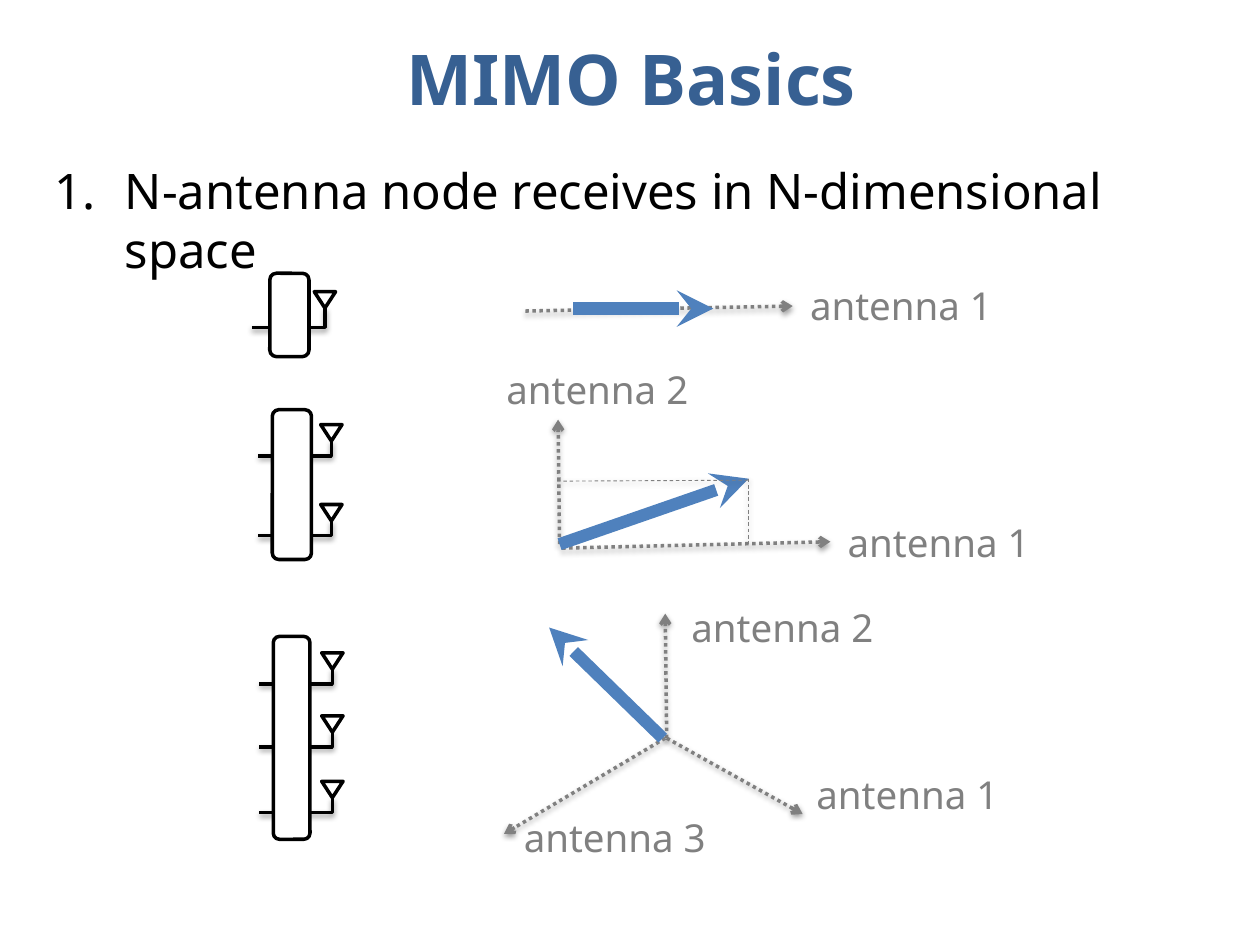
from lxml import etree
from pptx import Presentation
from pptx.dml.color import RGBColor
from pptx.enum.dml import MSO_LINE
from pptx.enum.shapes import MSO_CONNECTOR, MSO_SHAPE
from pptx.enum.text import MSO_ANCHOR, MSO_AUTO_SIZE, PP_ALIGN
from pptx.oxml import parse_xml
from pptx.oxml.ns import nsdecls, qn
from pptx.util import Cm, Pt

STRAIGHT, ELBOW = MSO_CONNECTOR.STRAIGHT, MSO_CONNECTOR.ELBOW
BOX, CONE = MSO_SHAPE.ROUNDED_RECTANGLE, MSO_SHAPE.ISOSCELES_TRIANGLE
DOT, DASH = MSO_LINE.ROUND_DOT, MSO_LINE.DASH
MIDDLE, CENTER = MSO_ANCHOR.MIDDLE, PP_ALIGN.CENTER
GROW = MSO_AUTO_SIZE.SHAPE_TO_FIT_TEXT

FONT = "Noto Sans"
BLACK = RGBColor(0, 0, 0)
WHITE = RGBColor(0xFF, 0xFF, 0xFF)
NAVY = RGBColor(0x37, 0x60, 0x92)
BLUE = RGBColor(0x4F, 0x81, 0xBD)
GRAY = RGBColor(0x80, 0x80, 0x80)

TITLE = "MIMO Basics"
POINT = "N-antenna node receives in N-dimensional space"

# All lengths below are in centimetres.
WIRE, CONE_W, CONE_H = 1.47, 0.43, 0.33
LABEL_W, LABEL_H = 5.13, 1.19

NODES = [
    {"box": (5.44, 5.51, 0.79, 1.68), "left": 5.08, "rise": 0.39,
     "wires": [6.6]},
    {"box": (5.49, 8.26, 0.79, 3.02), "left": 5.21, "rise": 0.3,
     "wires": [9.19, 10.8]},
    {"box": (5.51, 12.83, 0.74, 4.09), "left": 5.23, "rise": 0.3,
     "wires": [13.79, 15.06, 16.38]},
]

# Axes and guides run from start to end; a vector runs from tip to tail.
PLOTS = [
    {"axes": [(10.59, 6.27, 15.98, 6.17)],
     "labels": [("antenna 1", 16.08, 5.56)],
     "vector": (14.38, 6.22, 11.56, 6.22),
     "guides": []},
    {"axes": [(11.28, 10.97, 11.25, 8.46), (11.33, 11.05, 16.74, 10.92)],
     "labels": [("antenna 1", 16.84, 10.34), ("antenna 2", 9.96, 7.26)],
     "vector": (15.09, 9.65, 11.28, 10.97),
     "guides": [(15.09, 9.65, 15.09, 10.97), (11.23, 9.7, 15.09, 9.68)]},
    {"axes": [(13.44, 14.88, 13.41, 12.37), (13.44, 14.88, 16.18, 16.41),
              (13.41, 14.88, 10.16, 16.81)],
     "labels": [("antenna 1", 16.21, 15.42), ("antenna 2", 13.69, 12.06),
                ("antenna 3", 10.31, 16.28)],
     "vector": (11.07, 12.65, 13.36, 14.88),
     "guides": []},
]

SHADOW = (
    f'<a:effectLst {nsdecls("a")}>'
    '<a:outerShdw blurRad="40000" dist="20000" dir="5400000" rotWithShape="0">'
    '<a:srgbClr val="000000"><a:alpha val="38000"/></a:srgbClr>'
    '</a:outerShdw></a:effectLst>'
)
PLAIN = f'<a:effectLst {nsdecls("a")}/>'


def write(para, text, size, color, bold=False):
    """Add one run of text to a paragraph."""
    run = para.add_run()
    run.text = text
    font = run.font
    font.name, font.size, font.bold = FONT, Pt(size), bold
    font.color.rgb = color


def text_box(shapes, left, top, width, height):
    """Add a wrapping text box and return its text frame."""
    box = shapes.add_textbox(Cm(left), Cm(top), Cm(width), Cm(height))
    box.text_frame.word_wrap = True
    return box.text_frame


def draw_shape(shapes, kind, left, top, width, height):
    """Add a white shape with a black outline."""
    shape = shapes.add_shape(kind, Cm(left), Cm(top), Cm(width), Cm(height))
    shape.shadow.inherit = False
    shape.fill.solid()
    shape.fill.fore_color.rgb = WHITE
    shape.line.color.rgb = BLACK
    shape.line.width = Pt(2)
    return shape


def draw_line(shapes, ends, color, width, dash=None, arrow=None,
              effect=SHADOW, kind=STRAIGHT):
    """Add a connector; arrow is an (end tag, head type) pair."""
    line = shapes.add_connector(kind, *[Cm(v) for v in ends])
    line.line.color.rgb = color
    line.line.width = Pt(width)
    if dash:
        line.line.dash_style = dash
    props = line.element.spPr
    if arrow:
        tag, head = arrow
        etree.SubElement(props.find(qn("a:ln")), qn(tag), type=head)
    props.append(parse_xml(effect))
    return line


def draw_node(shapes, node):
    """Draw a receiver box with its antennas."""
    left = node["left"]
    right = left + WIRE
    for low in node["wires"]:
        high = low - node["rise"]
        wire = draw_line(shapes, (left, low, right, high), BLACK, 2,
                         kind=ELBOW)
        bend = wire.element.spPr.find(qn("a:prstGeom"))
        bend.set("prst", "bentConnector2")
        cone = draw_shape(shapes, CONE, right - CONE_W / 2, high - CONE_H,
                          CONE_W, CONE_H)
        cone.rotation = 180
    draw_shape(shapes, BOX, *node["box"])


def draw_plot(shapes, plot):
    """Draw the axes, labels, received vector and guides of one space."""
    for ends in plot["axes"]:
        draw_line(shapes, ends, GRAY, 2, DOT, ("a:tailEnd", "arrow"))
    for text, left, top in plot["labels"]:
        frame = text_box(shapes, left, top, LABEL_W, LABEL_H)
        frame.auto_size = GROW
        write(frame.paragraphs[0], text, 22, GRAY)
    draw_line(shapes, plot["vector"], BLUE, 7, None,
              ("a:headEnd", "stealth"), PLAIN)
    for ends in plot["guides"]:
        draw_line(shapes, ends, GRAY, 0.5, DASH)


def add_title(slide):
    """Place and fill the title."""
    title = slide.shapes.title
    title.left, title.top = Cm(0.05), Cm(0)
    title.width, title.height = Cm(25.35), Cm(3.12)
    frame = title.text_frame
    frame.vertical_anchor = MIDDLE
    para = frame.paragraphs[0]
    para.alignment = CENTER
    write(para, TITLE, 40, NAVY, True)


def add_point(shapes):
    """Add the numbered statement."""
    para = text_box(shapes, 0.84, 3.12, 24.13, 14.81).paragraphs[0]
    para.space_before = Pt(12)
    write(para, POINT, 28, BLACK)
    props = para._p.get_or_add_pPr()
    props.set("marL", str(Cm(1.43)))
    props.set("indent", str(-Cm(1.43)))
    etree.SubElement(props, qn("a:buFont"), typeface=FONT)
    etree.SubElement(props, qn("a:buAutoNum"), type="arabicPeriod")


deck = Presentation()
deck.slide_width, deck.slide_height = Cm(25.4), Cm(19.05)
slide = deck.slides.add_slide(deck.slide_layouts[5])
add_title(slide)
add_point(slide.shapes)
for node in NODES:
    draw_node(slide.shapes.add_group_shape().shapes, node)
for plot in PLOTS:
    draw_plot(slide.shapes.add_group_shape().shapes, plot)
deck.save("out.pptx")
